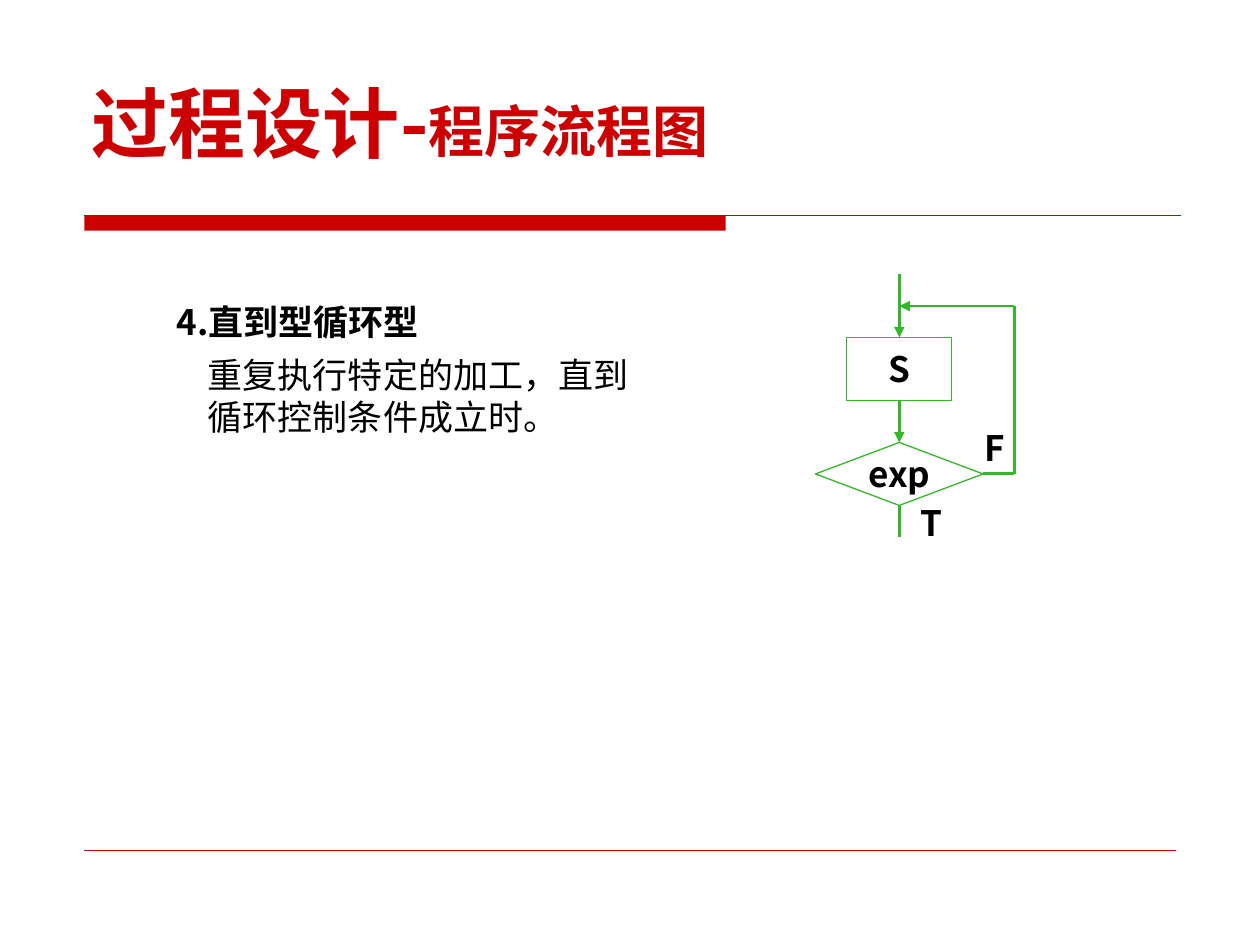
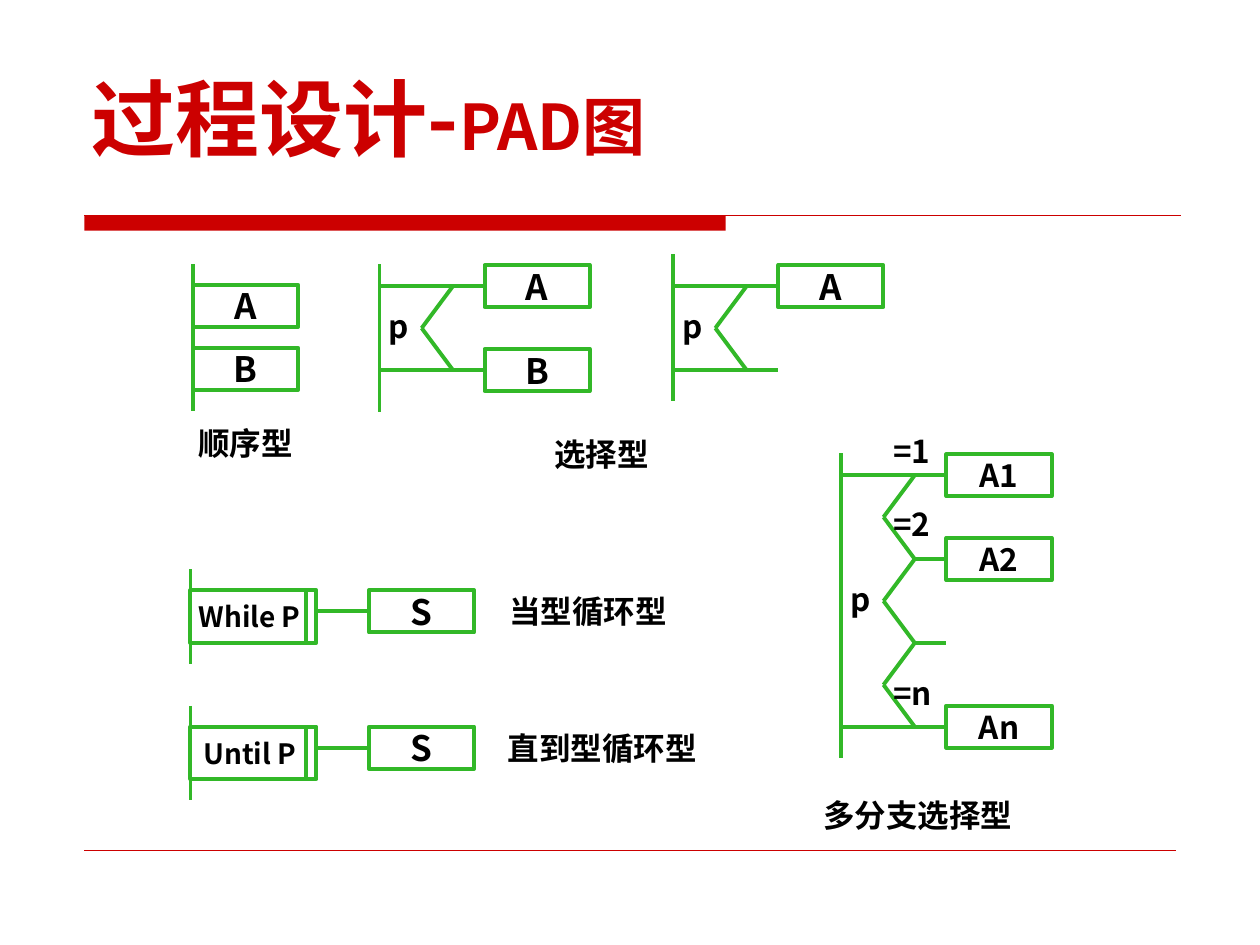
from lxml import etree
from pptx import Presentation
from pptx import util as u
from pptx.dml.color import RGBColor
from pptx.enum import shapes, text
from pptx.oxml.ns import qn

Cm, Pt = u.Cm, u.Pt
color = RGBColor.from_string
RED, GREEN, BLACK, WHITE = "CC0000", "32B828", "000000", "FFFFFF"
FONT = "Noto Sans CJK SC"
CENTER, LEFT = text.PP_ALIGN.CENTER, text.PP_ALIGN.LEFT
RECTANGLE = shapes.MSO_SHAPE.RECTANGLE
DECISION = shapes.MSO_SHAPE.FLOWCHART_DECISION
BOX_WIDTH, BOX_HEIGHT = 2.12, 0.85


def add_line(slide, x1, y1, x2, y2, width=2.25, line_color=GREEN, arrow=False):
    connector = slide.shapes.add_connector(
        shapes.MSO_CONNECTOR.STRAIGHT, Cm(x1), Cm(y1), Cm(x2), Cm(y2))
    connector.line.color.rgb = color(line_color)
    connector.line.width = Pt(width)
    if arrow:
        line_xml = connector._element.spPr.find(qn("a:ln"))
        etree.SubElement(line_xml, qn("a:tailEnd"), type="triangle")
    etree.SubElement(connector._element.spPr, qn("a:effectLst"))


def add_text(slide, words, left, top, width, height, size=20, bold=True,
             align=CENTER, kind=None, line_width=2.25):
    area = Cm(left), Cm(top), Cm(width), Cm(height)
    if kind is None:
        shape = slide.shapes.add_textbox(*area)
    else:
        shape = slide.shapes.add_shape(kind, *area)
        shape.shadow.inherit = False
        shape.fill.solid()
        shape.fill.fore_color.rgb = color(WHITE)
        shape.line.color.rgb = color(GREEN)
        shape.line.width = Pt(line_width)
        shape.text_frame.vertical_anchor = text.MSO_ANCHOR.MIDDLE
    shape.text_frame.word_wrap = align == LEFT
    paragraph = shape.text_frame.paragraphs[0]
    paragraph.text = words
    paragraph.alignment = align
    paragraph.font.size = Pt(size)
    paragraph.font.bold = bold
    paragraph.font.color.rgb = color(BLACK)
    return shape


presentation = Presentation()
presentation.slide_width, presentation.slide_height = Cm(25.4), Cm(19.05)

# Titles, red band and bottom rule
titles = [("程序流程图", 44, 32), ("PAD图", 48, 36)]
for topic, main_size, topic_size in titles:
    slide = presentation.slides.add_slide(presentation.slide_layouts[5])
    band = slide.shapes.add_shape(RECTANGLE, Cm(1.7), Cm(4.34), Cm(12.93), Cm(0.31))
    band.shadow.inherit = False
    band.fill.solid()
    band.fill.fore_color.rgb = color(RED)
    band.line.fill.background()
    add_line(slide, 1.7, 4.34, 23.8, 4.34, 0.75, RED)
    add_line(slide, 1.7, 17.15, 23.7, 17.15, 0.25, RED)

    title = slide.shapes.title
    title.left, title.top, title.width, title.height = Cm(1.6), Cm(0.84), Cm(22.23), Cm(2.67)
    frame = title.text_frame
    frame.auto_size = text.MSO_AUTO_SIZE.NONE
    frame.vertical_anchor = text.MSO_ANCHOR.BOTTOM
    paragraph = frame.paragraphs[0]
    paragraph.alignment = LEFT
    paragraph.font.bold = True
    paragraph.font.color.rgb = color(RED)
    for words, size in (("过程设计-", main_size), (topic, topic_size)):
        run = paragraph.add_run()
        run.text = words
        run.font.size = Pt(size)

flowchart, pad = presentation.slides

# Flowchart: explanation
add_text(flowchart, "4.直到型循环型", 3.2, 5.94, 5.61, 1.12)
add_text(flowchart, "重复执行特定的加工，直到循环控制条件成立时。",
         3.94, 7.01, 9.32, 1.96, bold=False, align=LEFT)

# Flowchart: until loop
axis, loop_x, join_y, test_y = 18.13, 20.45, 6.17, 9.55
add_text(flowchart, "exp", axis - 1.69, test_y - 0.63, 3.38, 1.27,
         kind=DECISION, line_width=0.75)
add_text(flowchart, "S", axis - BOX_WIDTH / 2, 6.8, BOX_WIDTH, 1.27,
         kind=RECTANGLE, line_width=0.75)
for x1, y1, x2, y2, arrow in [
    (axis, 5.53, axis, 6.8, True),
    (axis, 8.07, axis, 8.92, True),
    (axis, 10.19, axis, 10.82, False),
    (axis + 1.69, test_y, loop_x, test_y, False),
    (loop_x, test_y, loop_x, join_y, False),
    (loop_x, join_y, axis, join_y, True),
]:
    add_line(flowchart, x1, y1, x2, y2, 1.5, arrow=arrow)
add_text(flowchart, "F", 19.58, 8.48, 0.94, 1.12)
add_text(flowchart, "T", 18.31, 9.98, 0.94, 1.12)

# PAD: sequence
for name, top in (("A", 5.74), ("B", 7.01)):
    add_text(pad, name, 3.89, top, BOX_WIDTH, BOX_HEIGHT, kind=RECTANGLE)
add_line(pad, 3.89, 5.33, 3.89, 8.28)

# PAD: selections, with one arm per branch and None for an empty branch
arm_gap = 1.69
for bar, top, bottom, first_arm, branches, size in [
    (7.65, 5.33, 8.31, 5.77, ["A", "B"], 20),
    (13.57, 5.13, 8.08, 5.77, ["A", None], 20),
    (16.96, 9.14, 15.29, 9.58, ["A1", "A2", None, "An"], 18),
]:
    tip, shoulder, box_left = bar + 0.85, bar + 1.48, bar + BOX_WIDTH
    last_arm = first_arm + arm_gap * (len(branches) - 1)
    add_line(pad, bar, top, bar, bottom)
    for index, name in enumerate(branches):
        arm = first_arm + arm_gap * index
        outer = index in (0, len(branches) - 1)
        add_line(pad, bar if outer else shoulder, arm, box_left, arm)
        if index:
            add_line(pad, shoulder, arm - arm_gap, tip, arm - arm_gap / 2)
            add_line(pad, tip, arm - arm_gap / 2, shoulder, arm)
        if name:
            add_text(pad, name, box_left, arm - BOX_HEIGHT / 2, BOX_WIDTH,
                     BOX_HEIGHT, size, kind=RECTANGLE)
    add_text(pad, "p", bar - 0.34, (first_arm + last_arm) / 2 - 0.55, 1.47, 1.12, 18)

for case, top in (("=1", 8.59), ("=2", 10.06), ("=n", 13.47)):
    add_text(pad, case, 17.76, top, 1.7, 1.12, 18, align=LEFT)

# PAD: loops
for condition, top in (("While P", 11.48), ("Until P", 14.23)):
    add_line(pad, 3.84, top, 3.84, top + 1.9)
    test = add_text(pad, condition, 3.84, top + 0.42, 2.54, 1.06, 16, kind=RECTANGLE)
    test.text_frame.margin_right = Cm(0.4)
    add_line(pad, 6.17, top + 0.42, 6.17, top + 1.48)
    add_line(pad, 6.38, top + 0.84, 7.44, top + 0.84)
    add_text(pad, "S", 7.44, top + 0.42, BOX_WIDTH, BOX_HEIGHT, kind=RECTANGLE)

# PAD: captions
for caption, left, top, width in [
    ("顺序型", 3.59, 8.43, 2.72),
    ("选择型", 10.77, 8.64, 2.72),
    ("当型循环型", 9.86, 11.81, 3.99),
    ("直到型循环型", 9.83, 14.58, 4.62),
    ("多分支选择型", 15.14, 15.93, 6.73),
]:
    add_text(pad, caption, left, top, width, 1.02, 18)

# One typeface for Latin and Chinese text
for slide in presentation.slides:
    for shape in slide.shapes:
        if shape.has_text_frame and shape.text_frame.text:
            font = shape.text_frame.paragraphs[0].font
            font.name = FONT
            etree.SubElement(font._element, qn("a:ea"), typeface=FONT)

presentation.save("out.pptx")
